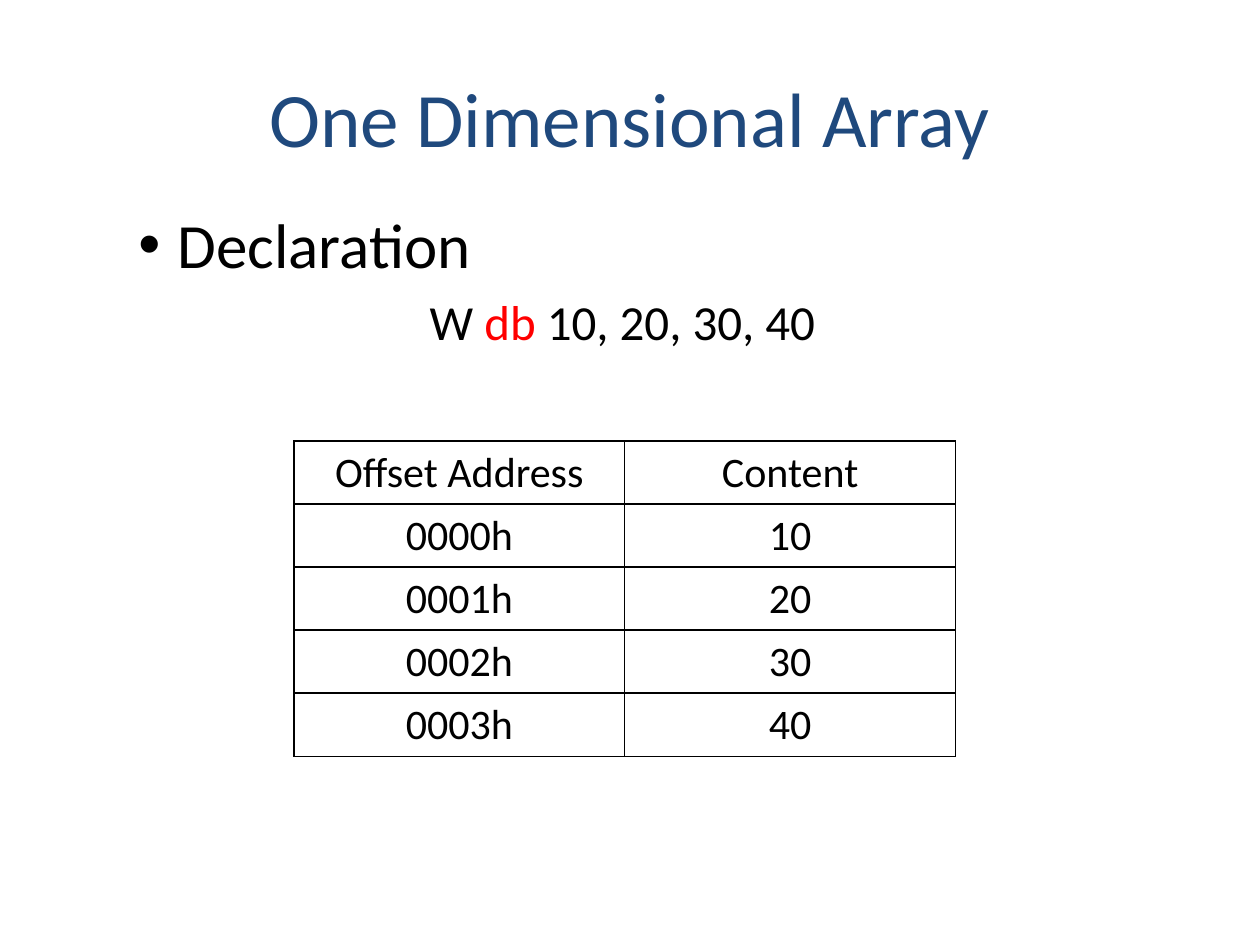
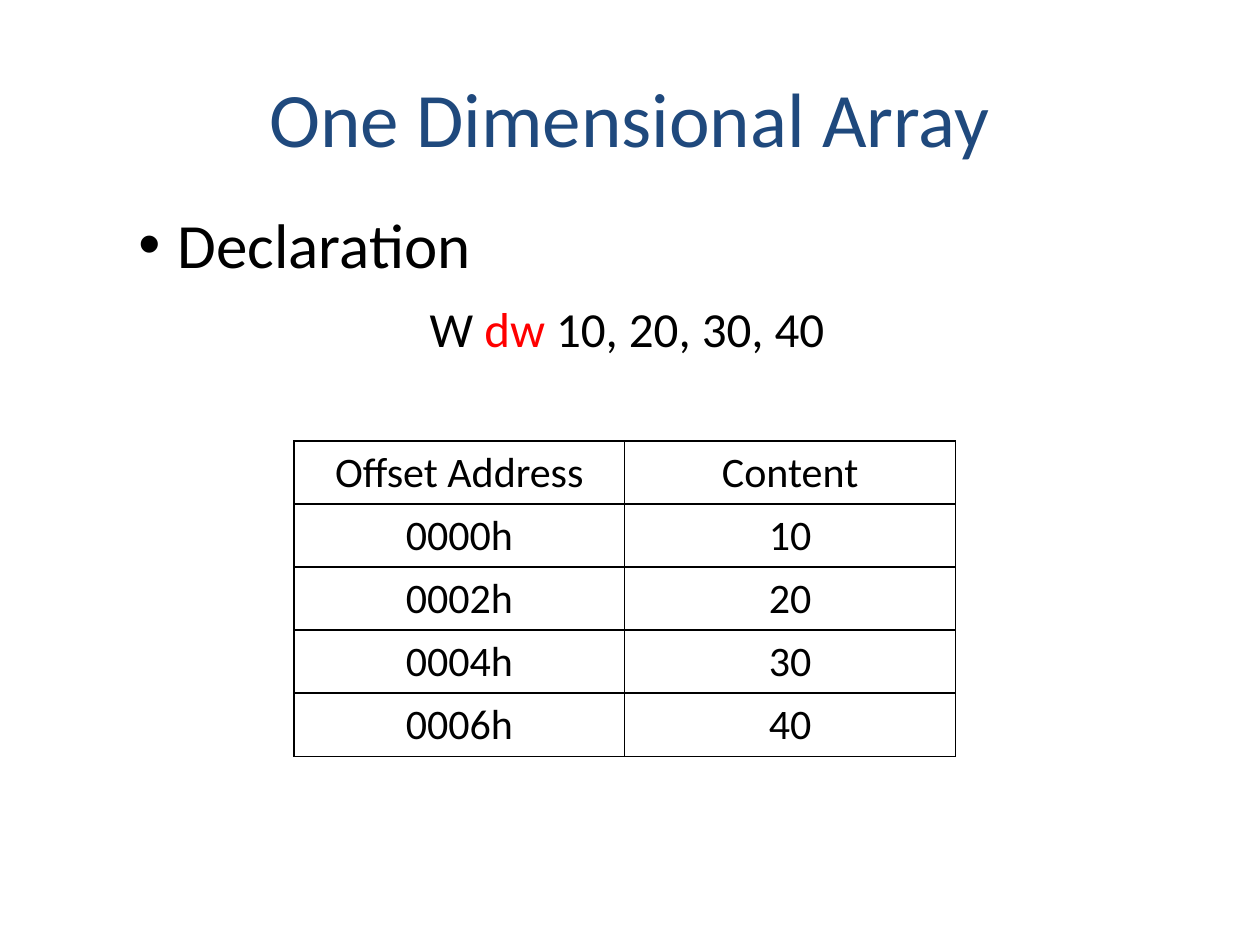
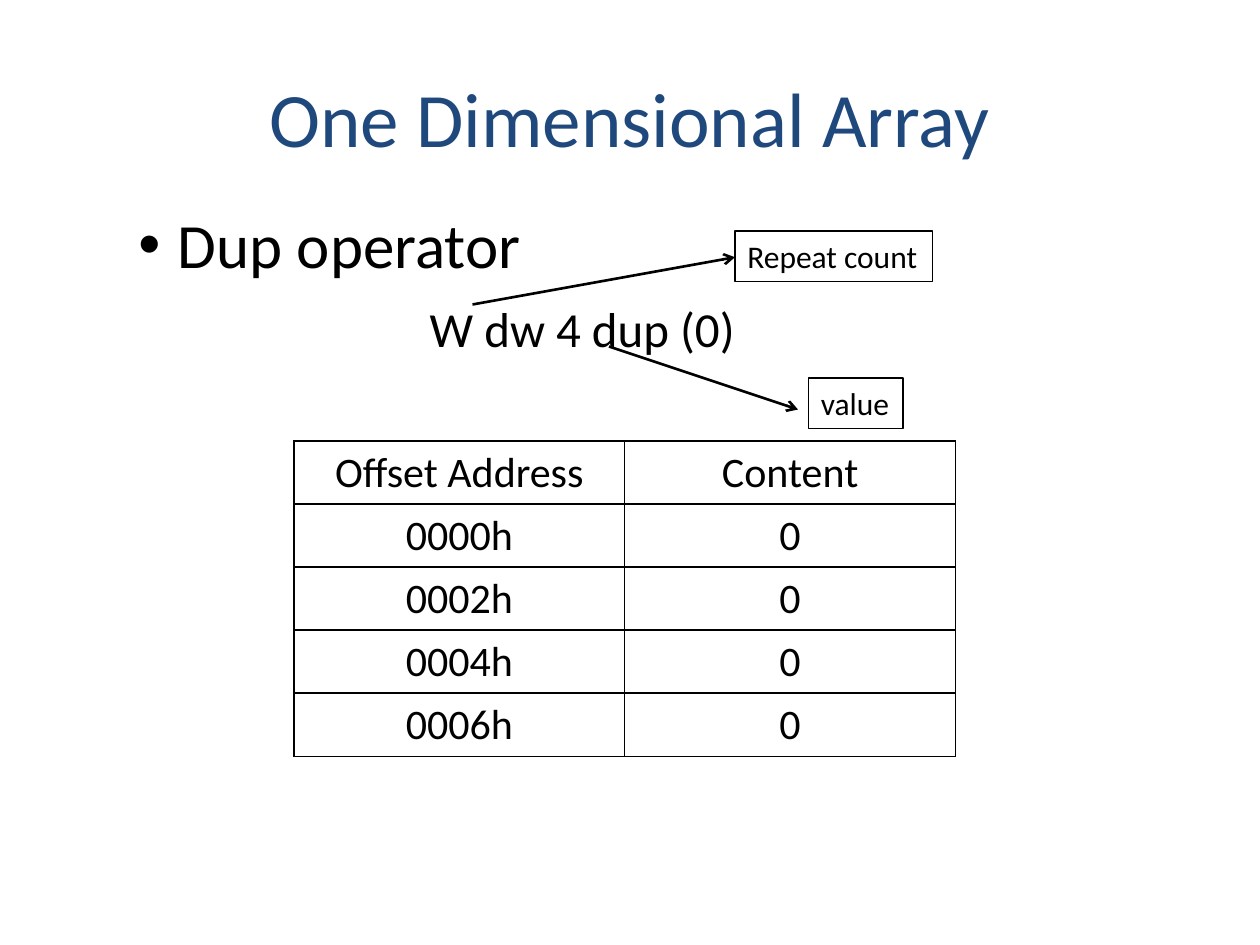
import pptx
import pptx.dml.color
import pptx.enum.shapes
import pptx.enum.text
import pptx.oxml
import pptx.oxml.ns
import pptx.util
from dataclasses import dataclass

Pt = pptx.util.Pt
ALIGN = pptx.enum.text.PP_ALIGN
ANCHOR = pptx.enum.text.MSO_ANCHOR

# Content: a code line is a list of (text, colour role)
TITLE = "One Dimensional Array"
HEADER = ("Offset Address", "Content")
SLIDES = [
    {
        "heading": "Declaration",
        "code": [("W ", "text"), ("db", "keyword"), (" 10, 20, 30, 40", "text")],
        "code_gap": 5.6,
        "step": 1,
        "values": ["10", "20", "30", "40"],
        "callouts": [],
    },
    {
        "heading": "Declaration",
        "code": [("W ", "text"), ("dw ", "keyword"), ("10, 20, 30, 40", "text")],
        "code_gap": 9.7,
        "step": 2,
        "values": ["10", "20", "30", "40"],
        "callouts": [],
    },
    {
        "heading": "Dup operator",
        "code": [("W dw 4 dup (0)", "text")],
        "code_gap": 9.7,
        "step": 2,
        "values": ["0"] * 4,
        # label, box, arrow start, arrow end
        "callouts": [
            ("Repeat count", (420, 132, 113, 29), (270, 174), (420, 147)),
            ("value", (462, 216, 54, 29), (348, 198), (456, 234)),
        ],
    },
]


@dataclass(frozen=True)
class Theme:
    font: str = "Calibri"
    title: str = "1F497D"
    text: str = "000000"
    keyword: str = "FF0000"
    title_size: int = 44
    heading_size: int = 36
    code_size: int = 28
    table_size: int = 24
    label_size: int = 18
    grid_width: float = 1
    box_width: float = 0.75
    arrow_width: float = 1.5


THEME = Theme()

# Layout in points: left, top, width, height
TITLE_BOX = (36, 21.6, 648, 90)
BODY_BOX = (36, 114, 648, 368)
TABLE_BOX = (168, 252, 378, 180)
BULLET_INDENT = 22.5
HEADING_LEFT = 58.5
CODE_LEFT = HEADING_LEFT + 2 * 72


def points(values):
    return [Pt(value) for value in values]


def color(role):
    return pptx.dml.color.RGBColor.from_string(getattr(THEME, role))


def style_run(run, size, role="text"):
    run.font.name = THEME.font
    run.font.size = Pt(size)
    run.font.color.rgb = color(role)


def xml(text):
    return pptx.oxml.parse_xml(text.replace(
        ">", f' {pptx.oxml.ns.nsdecls("a")}>' if ">" in text and "/>" not in text.split(">")[0] + ">"
        else ">", 1)) if "/>" != text[-2:] else pptx.oxml.parse_xml(
        text[:-2] + f' {pptx.oxml.ns.nsdecls("a")}/>')


def add_title(slide):
    title = slide.shapes.title
    title.left, title.top, title.width, title.height = points(TITLE_BOX)
    title.text_frame.text = TITLE
    title.text_frame.vertical_anchor = ANCHOR.MIDDLE
    paragraph = title.text_frame.paragraphs[0]
    paragraph.alignment = ALIGN.CENTER
    style_run(paragraph.runs[0], THEME.title_size, "title")


def add_body(slide, content):
    frame = slide.shapes.add_textbox(*points(BODY_BOX)).text_frame
    frame.word_wrap = True

    # Bulleted heading with a hanging indent
    frame.text = content["heading"]
    heading = frame.paragraphs[0]
    style_run(heading.runs[0], THEME.heading_size)
    properties = heading._p.get_or_add_pPr()
    properties.set("marL", str(Pt(HEADING_LEFT)))
    properties.set("indent", str(Pt(-BULLET_INDENT)))
    properties.append(xml('<a:buFont typeface="Arial"/>'))
    properties.append(xml('<a:buChar char="\u2022"/>'))

    # Indented line of code
    code = frame.add_paragraph()
    code.space_before = Pt(content["code_gap"])
    code._p.get_or_add_pPr().set("marL", str(Pt(CODE_LEFT)))
    for text, role in content["code"]:
        run = code.add_run()
        run.text = text
        style_run(run, THEME.code_size, role)


def add_borders(cell):
    properties = cell._tc.get_or_add_tcPr()
    for position, side in enumerate(("lnL", "lnR", "lnT", "lnB")):
        border = xml(f'<a:{side} w="{Pt(THEME.grid_width)}"><a:solidFill>'
                     f'<a:srgbClr val="{THEME.text}"/></a:solidFill></a:{side}>')
        properties.insert(position, border)


def add_memory_table(slide, content):
    rows = [HEADER] + [(f"{index * content['step']:04d}h", value)
                       for index, value in enumerate(content["values"])]
    table = slide.shapes.add_table(len(rows), len(HEADER), *points(TABLE_BOX)).table
    table.first_row = table.horz_banding = False
    for row_index, row in enumerate(rows):
        for column_index, text in enumerate(row):
            cell = table.cell(row_index, column_index)
            cell.text_frame.text = text
            cell.fill.background()
            add_borders(cell)
            paragraph = cell.text_frame.paragraphs[0]
            paragraph.alignment = ALIGN.CENTER
            style_run(paragraph.runs[0], THEME.table_size)


def add_callout(slide, label, box, start, end):
    # Outlined label
    shape = slide.shapes.add_shape(
        pptx.enum.shapes.MSO_SHAPE.RECTANGLE, *points(box))
    shape.shadow.inherit = False
    shape.fill.background()
    shape.line.color.rgb = color("text")
    shape.line.width = Pt(THEME.box_width)
    frame = shape.text_frame
    frame.text = label
    frame.word_wrap = False
    frame.auto_size = pptx.enum.text.MSO_AUTO_SIZE.SHAPE_TO_FIT_TEXT
    frame.vertical_anchor = ANCHOR.TOP
    frame.paragraphs[0].alignment = ALIGN.LEFT
    style_run(frame.paragraphs[0].runs[0], THEME.label_size)

    # Arrow from the code to the label
    arrow = slide.shapes.add_connector(
        pptx.enum.shapes.MSO_CONNECTOR.STRAIGHT, *points(start + end))
    arrow.line.color.rgb = color("text")
    arrow.line.width = Pt(THEME.arrow_width)
    arrow.line._get_or_add_ln().append(xml('<a:tailEnd type="arrow"/>'))
    arrow._element.spPr.append(xml("<a:effectLst/>"))


# Build the slides
presentation = pptx.Presentation()
presentation.slide_width, presentation.slide_height = Pt(720), Pt(540)
title_only = presentation.slide_layouts[5]
for content in SLIDES:
    slide = presentation.slides.add_slide(title_only)
    add_title(slide)
    add_body(slide, content)
    add_memory_table(slide, content)
    for callout in content["callouts"]:
        add_callout(slide, *callout)
presentation.save("out.pptx")
